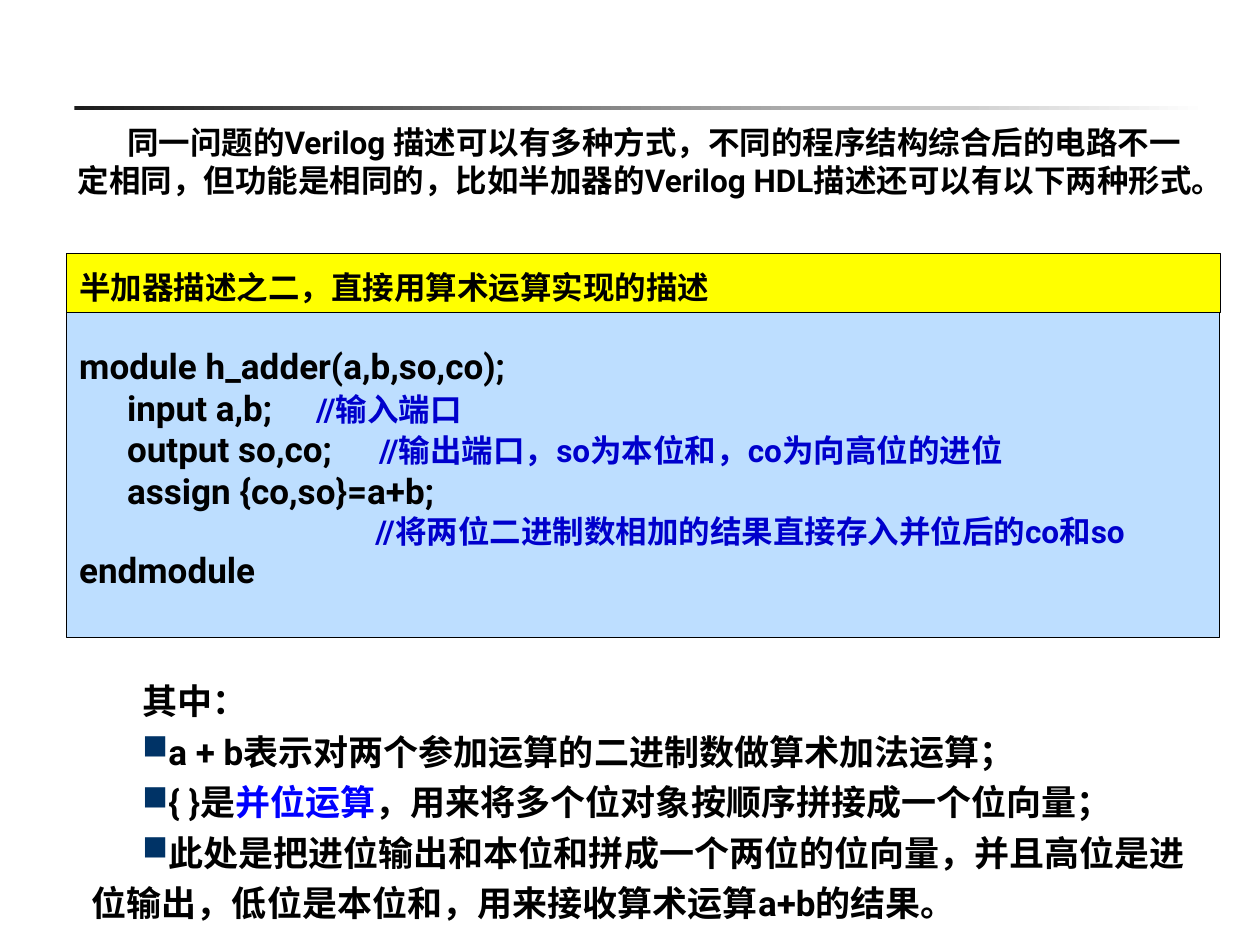
import pptx
import pptx.util
import pptx.dml.color
import pptx.enum.shapes
import pptx.enum.text
import pptx.oxml.ns
import lxml.etree

Inches = pptx.util.Inches
Pt = pptx.util.Pt
Anchor = pptx.enum.text.MSO_ANCHOR

COLORS = {
    "text": "000000",
    "comment": "0000CC",
    "term": "0000FF",
    "bullet": "003366",
    "rule": "1C1C1C",
    "page": "FFFFFF",
    "code": "BDDEFF",
    "title": "FFFF00",
}


def rgb(name):
    return pptx.dml.color.RGBColor.from_string(COLORS[name])


def add_element(parent, tag, **attributes):
    return lxml.etree.SubElement(parent, pptx.oxml.ns.qn(tag), attributes)


class SlideBuilder:
    font = "Roboto"

    def __init__(self, page):
        self.page = page

    def rectangle(self, left, top, width, height):
        box = self.page.shapes.add_shape(
            pptx.enum.shapes.MSO_SHAPE.RECTANGLE,
            Inches(left), Inches(top), Inches(width), Inches(height))
        box.shadow.inherit = False
        return box

    def rule(self, left, top, width, height):
        bar = self.rectangle(left, top, width, height)
        bar.line.fill.background()
        bar.fill.gradient()
        bar.fill.gradient_angle = 0
        for stop, name in zip(bar.fill.gradient_stops, ("rule", "page")):
            stop.color.rgb = rgb(name)

    def panel(self, left, top, width, height, fill, anchor):
        box = self.rectangle(left, top, width, height)
        box.fill.solid()
        box.fill.fore_color.rgb = rgb(fill)
        box.line.color.rgb = rgb("text")
        box.line.width = Pt(0.75)
        return self.frame(box, anchor)

    def text_box(self, left, top, width, height, anchor=Anchor.TOP):
        box = self.page.shapes.add_textbox(
            Inches(left), Inches(top), Inches(width), Inches(height))
        return self.frame(box, anchor)

    def frame(self, box, anchor):
        frame = box.text_frame
        frame.word_wrap = True
        frame.vertical_anchor = anchor
        return frame

    def paragraph(self, frame, spans, margin=0, indent=0, spacing=1,
                  before=0, bullet=None, tab=None):
        first = not frame.text
        para = frame.paragraphs[0] if first else frame.add_paragraph()
        para.alignment = pptx.enum.text.PP_ALIGN.LEFT
        para.line_spacing = spacing
        para.space_before = Pt(0 if first else before)
        properties = para._p.get_or_add_pPr()
        properties.set("marL", str(Inches(margin)))
        properties.set("indent", str(Inches(indent)))
        if bullet:
            color = add_element(properties, "a:buClr")
            add_element(color, "a:srgbClr", val=COLORS["bullet"])
            add_element(properties, "a:buChar", char=bullet)
        if tab:
            tabs = add_element(properties, "a:tabLst")
            add_element(tabs, "a:tab", pos=str(Inches(tab)), algn="l")
        for text, size, color in spans:
            span = para.add_run()
            span.text = text
            span.font.name = self.font
            span.font.size = Pt(size)
            span.font.bold = True
            span.font.color.rgb = rgb(color)


def main():
    deck = pptx.Presentation()
    deck.slide_width, deck.slide_height = Inches(10), Inches(7.5)
    builder = SlideBuilder(deck.slides.add_slide(deck.slide_layouts[6]))

    builder.rule(0.59, 0.84, 9, 0.03)

    code = builder.panel(0.53, 2.38, 9.15, 2.68, "code", Anchor.TOP)
    code.margin_top = Inches(0.42)
    code_lines = [
        ("module h_adder(a,b,so,co);", "", 0, None),
        ("input a,b;", "//输入端口", 0.38, 3.07),
        ("output so,co;", "//输出端口，so为本位和，co为向高位的进位", 0.38, 2.49),
        ("assign {co,so}=a+b;", "", 0.38, None),
        ("", "//将两位二进制数相加的结果直接存入并位后的co和so", 2.35, None),
        ("endmodule", "", 0, None),
    ]
    for statement, comment, margin, tab in code_lines:
        spans = []
        if statement:
            spans.append((statement + ("\t" if tab else ""), 20, "text"))
        if comment:
            spans.append((comment, 18, "comment"))
        builder.paragraph(code, spans, margin, spacing=0.8, before=4.5, tab=tab)

    notes = builder.text_box(0.53, 5.28, 9.09, 2.1, Anchor.MIDDLE)
    note_lines = [
        (None, [("其中：", "text")]),
        ("■", [("a + b表示对两个参加运算的二进制数做算术加法运算；", "text")]),
        ("■", [("{ }是", "text"), ("并位运算", "term"),
               ("，用来将多个位对象按顺序拼接成一个位向量；", "text")]),
        ("■", [("此处是把进位输出和本位和拼成一个两位的位向量，并且高位是进位输出，"
                "低位是本位和，用来接收算术运算a+b的结果。", "text")]),
    ]
    for bullet, parts in note_lines:
        spans = [(text, 20, color) for text, color in parts]
        builder.paragraph(notes, spans, 0.1, 0.4, 1.2, bullet=bullet)

    intro = builder.text_box(0.52, 0.93, 9.19, 1)
    builder.paragraph(intro, [(
        "同一问题的Verilog 描述可以有多种方式，不同的程序结构综合后的电路不一定相同，"
        "但功能是相同的，比如半加器的Verilog HDL描述还可以有以下两种形式。",
        18, "text")], indent=0.39)

    title = builder.panel(0.53, 2.01, 9.16, 0.47, "title", Anchor.BOTTOM)
    builder.paragraph(
        title, [("半加器描述之二，直接用算术运算实现的描述", 18, "text")])

    deck.save("out.pptx")


if __name__ == "__main__":
    main()
